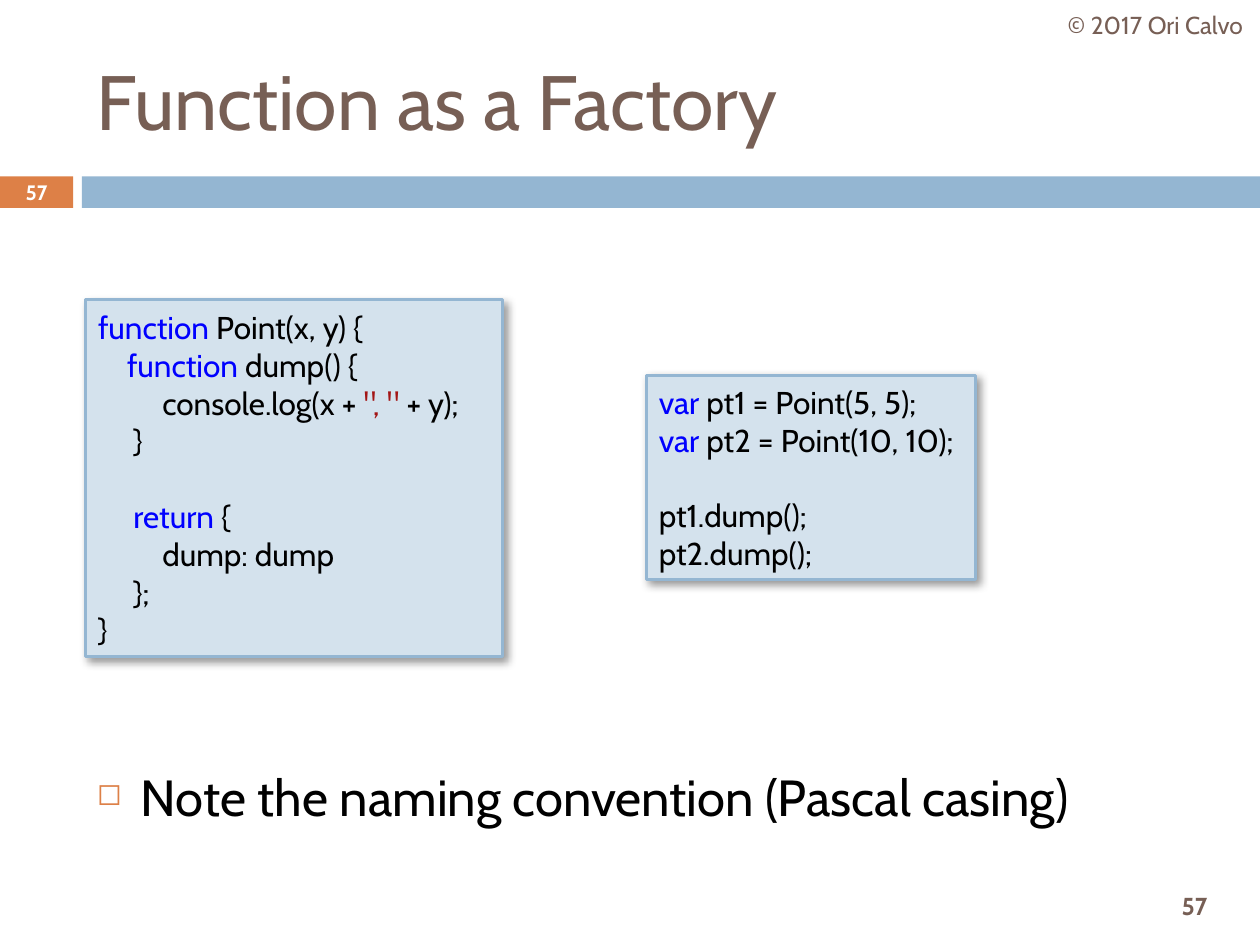
from lxml import etree
from pptx import Presentation, util as u
from pptx.dml.color import RGBColor
from pptx.enum import shapes, text
from pptx.oxml import ns

BROWN = RGBColor(0x77, 0x5F, 0x55)
ORANGE = RGBColor(0xDD, 0x80, 0x47)
BLUE = RGBColor(0x94, 0xB6, 0xD2)
PALE = RGBColor(0xD4, 0xE2, 0xED)
WHITE = RGBColor(255, 255, 255)
BLACK = RGBColor(0, 0, 0)
KEY = RGBColor(0, 0, 255)
STR = RGBColor(0xA3, 0x15, 0x15)

W, H = 10, 7.5
FONT = "Cabin"
SIZE = 18
LINE = 21.6
LEFT, MID = text.PP_ALIGN.LEFT, text.PP_ALIGN.CENTER

BARS = [((0, 1.4, 0.58, 0.25), ORANGE), ((0.65, 1.4, W - 0.65, 0.25), BLUE)]
LABELS = [
    ((9.02, 6.98, 0.92, 0.42), "57", 14, BROWN, True, MID),
    ((0.67, 0.25, 8.92, 1.08), "Function as a Factory", 44, BROWN, False, LEFT),
    ((8.34, 0, 1.66, 0.4), "© 2017 Ori Calvo", 14, BROWN, False, MID),
    ((0, 1.39, 0.58, 0.27), "57", 11.9, WHITE, True, MID),
]
NOTE = ((0.67, 6.03, 8.92, 0.71), "Note the naming convention (Pascal casing)")
CODE = [
    ((0.68, 2.38, 3.31, 2.83), [
        (0, 0, [("function", KEY), (" Point(x, y) {", BLACK)]),
        (0.23, 0, [("function", KEY), (" dump() {", BLACK)]),
        (0.51, 0, [("console.log(x + ", BLACK), ('", "', STR), (" + y);", BLACK)]),
        (0.28, 0, [("}", BLACK)]),
        (0.28, 1, [("return", KEY), (" {", BLACK)]),
        (0.51, 0, [("dump: dump", BLACK)]),
        (0.28, 0, [("};", BLACK)]),
        (0, 0, [("}", BLACK)]),
    ]),
    ((5.13, 2.98, 2.61, 1.62), [
        (0, 0, [("var", KEY), (" pt1 = Point(5, 5);", BLACK)]),
        (0, 0, [("var", KEY), (" pt2 = Point(10, 10);", BLACK)]),
        (0, 1, [("pt1.dump();", BLACK)]),
        (0, 0, [("pt2.dump();", BLACK)]),
    ]),
]

deck = Presentation()
deck.slide_width, deck.slide_height = u.Inches(W), u.Inches(H)
slide = deck.slides.add_slide(deck.slide_layouts[6])


def place(at):
    return [u.Inches(v) for v in at]


def rect(at, fill):
    box = slide.shapes.add_shape(shapes.MSO_SHAPE.RECTANGLE, *place(at))
    box.shadow.inherit = False
    box.fill.solid()
    box.fill.fore_color.rgb = fill
    box.line.fill.background()
    return box


def add_run(para, words, size, color, bold=False):
    run = para.add_run()
    run.text = words
    font = run.font
    font.name, font.size, font.bold = FONT, u.Pt(size), bold
    font.color.rgb = color


def label(at, words, size, color, bold=False, align=LEFT, anchor=text.MSO_ANCHOR.MIDDLE):
    frame = slide.shapes.add_textbox(*place(at)).text_frame
    frame.word_wrap = True
    frame.vertical_anchor = anchor
    para = frame.paragraphs[0]
    para.alignment = align
    add_run(para, words, size, color, bold)
    return para


def sub(parent, tag, **attrs):
    return etree.SubElement(parent, ns.qn("a:" + tag), attrs)


def indent(para, left, first=0):
    props = para._p.get_or_add_pPr()
    props.set("marL", str(u.Inches(left)))
    props.set("indent", str(u.Inches(first)))
    return props


def cast(box):
    effects = box._element.spPr.find(ns.qn("a:effectLst"))
    outer = sub(effects, "outerShdw", blurRad=str(u.Pt(5)), dist=str(u.Pt(2.9)),
                dir=str(45 * 60000), algn="tl", rotWithShape="0")
    sub(sub(outer, "srgbClr", val=str(BLACK)), "alpha", val="40000")


def code(at, lines):
    box = rect(at, PALE)
    box.line.color.rgb = BLUE
    box.line.width = u.Pt(1.75)
    cast(box)
    frame = box.text_frame
    frame.word_wrap = True
    frame.vertical_anchor = text.MSO_ANCHOR.MIDDLE
    for i, (left, gap, runs) in enumerate(lines):
        para = frame.add_paragraph() if i else frame.paragraphs[0]
        para.alignment = LEFT
        para.space_before = u.Pt(gap * LINE)
        indent(para, left)
        for words, color in runs:
            add_run(para, words, SIZE, color)


for bar in BARS:
    rect(*bar)
for item in LABELS:
    label(*item)

note = label(*NOTE, 29, BLACK, anchor=text.MSO_ANCHOR.TOP)
note.space_before = u.Pt(7)
props = indent(note, 0.35, -0.35)
sub(sub(props, "buClr"), "srgbClr", val=str(ORANGE))
sub(props, "buSzPct", val="60000")
sub(props, "buChar", char="◻")

for block in CODE:
    code(*block)

deck.save("out.pptx")
